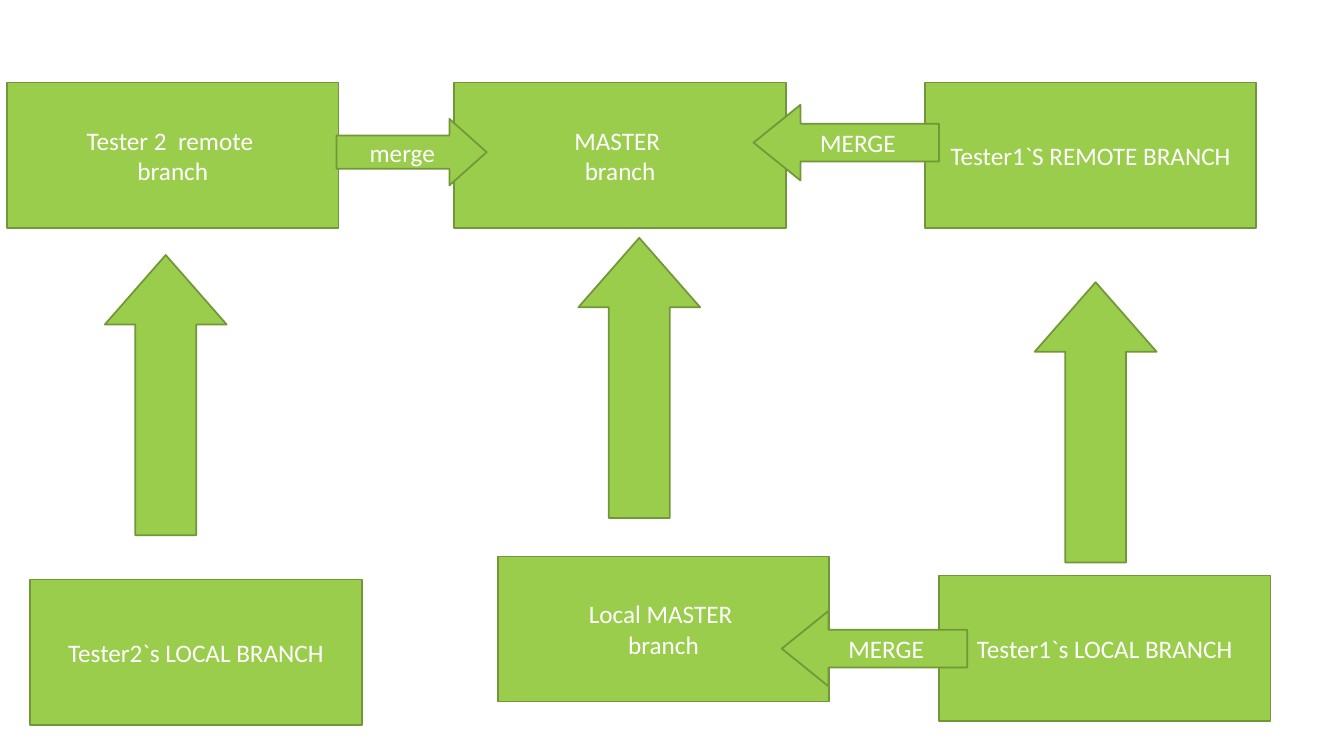
import dataclasses

import pptx
import pptx.dml.color
import pptx.enum.shapes
import pptx.enum.text
import pptx.util

Inches = pptx.util.Inches
Shape = pptx.enum.shapes.MSO_SHAPE


@dataclasses.dataclass(frozen=True)
class Theme:
    fill: str = "9ACD4C"
    outline: str = "719738"
    text: str = "FFFFFF"
    font: str = "Calibri"
    text_size: float = 18
    outline_width: float = 1.25


class BranchDiagram:
    def __init__(self, slide, theme):
        self.slide = slide
        self.theme = theme

    def color(self, value):
        return pptx.dml.color.RGBColor.from_string(value)

    def block(self, preset, left, top, width, height, label=""):
        block = self.slide.shapes.add_shape(
            preset, Inches(left), Inches(top), Inches(width), Inches(height)
        )
        block.shadow.inherit = False
        block.fill.solid()
        block.fill.fore_color.rgb = self.color(self.theme.fill)
        block.line.color.rgb = self.color(self.theme.outline)
        block.line.width = pptx.util.Pt(self.theme.outline_width)
        if label:
            self.set_label(block.text_frame, label)
        return block

    def set_label(self, frame, label):
        frame.word_wrap = True
        frame.vertical_anchor = pptx.enum.text.MSO_ANCHOR.MIDDLE
        frame.text = label
        for paragraph in frame.paragraphs:
            paragraph.alignment = pptx.enum.text.PP_ALIGN.CENTER
            paragraph.font.name = self.theme.font
            paragraph.font.size = pptx.util.Pt(self.theme.text_size)
            paragraph.font.color.rgb = self.color(self.theme.text)

    def branch(self, left, top, label):
        self.block(Shape.RECTANGLE, left, top, 3.29, 1.44, label)

    def push(self, left, top):
        arrow = self.block(Shape.UP_ARROW, left, top, 1.21, 2.78)
        arrow.adjustments[1] = 0.57

    def merge_left(self, left, top):
        arrow = self.block(Shape.LEFT_ARROW, left, top, 1.84, 0.75, "MERGE")
        arrow.adjustments[1] = 0.62

    def merge_right(self, left, top):
        arrow = self.block(Shape.RIGHT_ARROW, left, top, 1.49, 0.66, "merge")
        arrow.adjustments[1] = 0.56


def main():
    presentation = pptx.Presentation()
    presentation.slide_width = Inches(13.34)
    presentation.slide_height = Inches(7.5)
    slide = presentation.slides.add_slide(presentation.slide_layouts[6])
    diagram = BranchDiagram(slide, Theme())

    remote_top = 0.82
    diagram.branch(9.18, remote_top, "Tester1`S REMOTE BRANCH")
    diagram.branch(9.32, 5.71, "Tester1`s LOCAL BRANCH")
    diagram.push(10.27, 2.8)
    diagram.branch(4.51, remote_top, "MASTER \nbranch")
    diagram.merge_left(7.48, 1.04)
    diagram.push(1.04, 2.53)
    diagram.branch(0.07, remote_top, "Tester 2  remote \nbranch")
    diagram.merge_right(3.34, 1.18)
    diagram.branch(0.3, 5.75, "Tester2`s LOCAL BRANCH")
    diagram.branch(4.94, 5.52, "Local MASTER \nbranch")
    diagram.merge_left(7.76, 6.06)
    diagram.push(5.74, 2.36)

    presentation.save("out.pptx")


if __name__ == "__main__":
    main()
